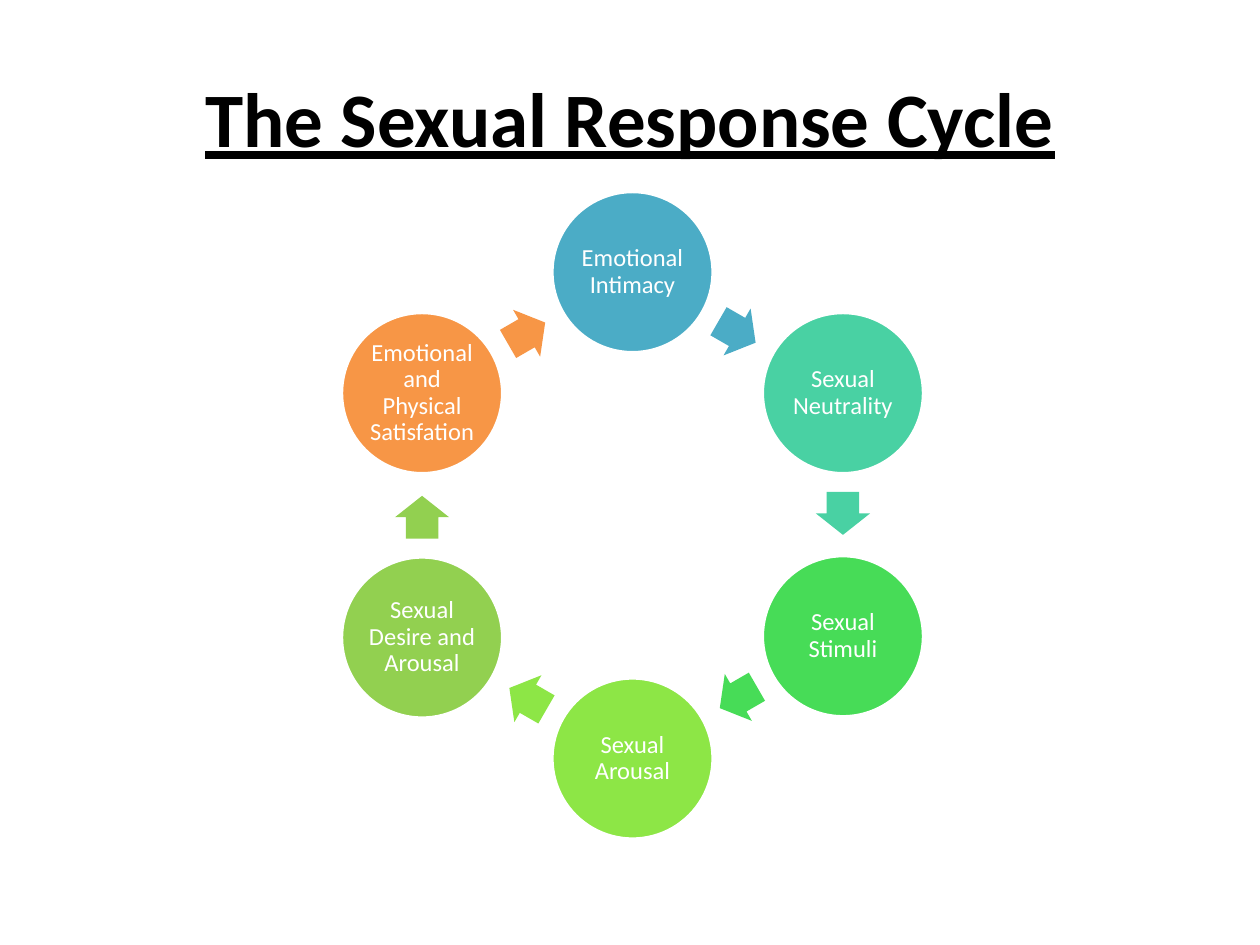
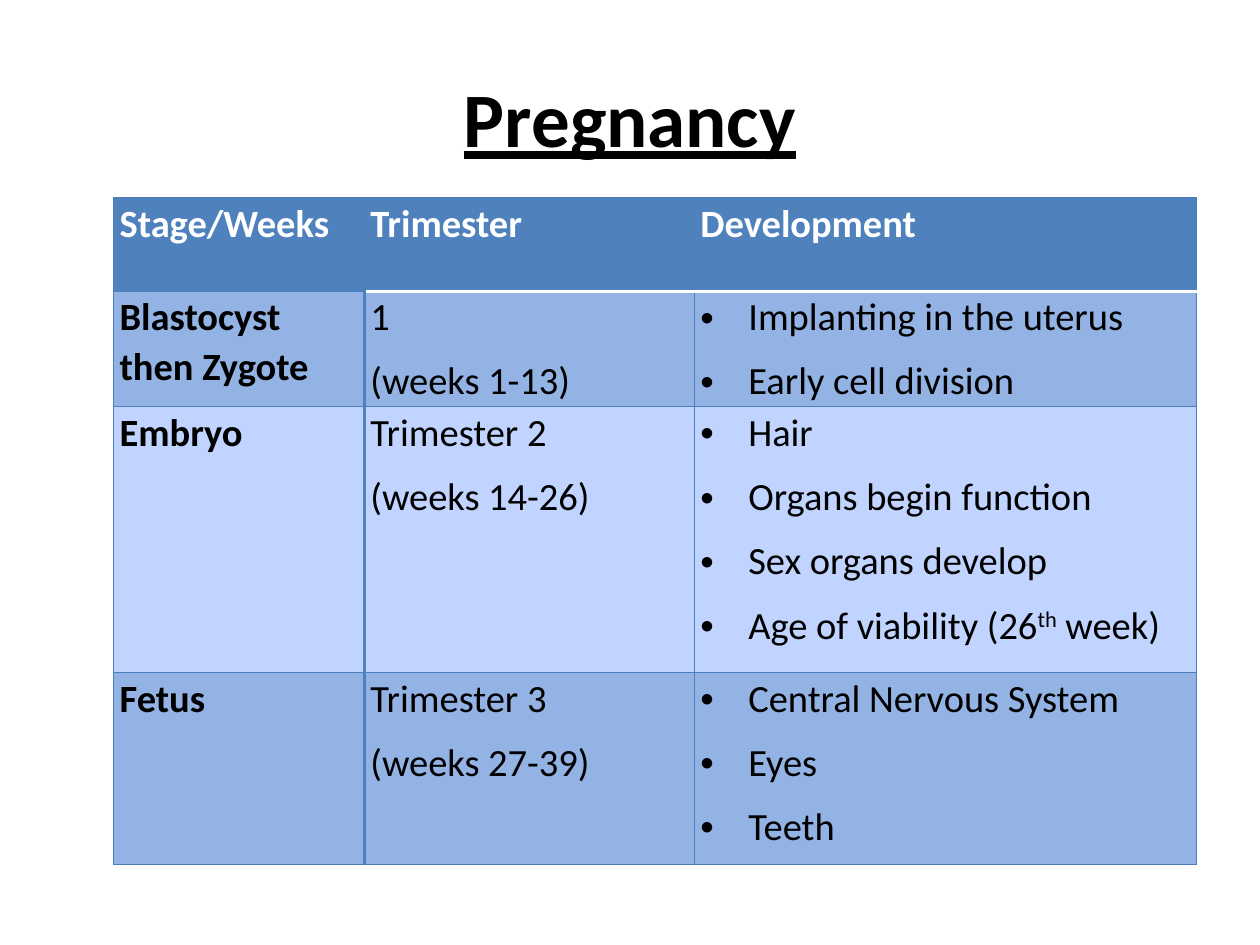
import math
import pptx
import pptx.util
import pptx.dml.color
import pptx.enum.shapes
import pptx.enum.text
import pptx.oxml.ns
import lxml.etree

px = 9144
Pt = pptx.util.Pt
qn = pptx.oxml.ns.qn
mid = pptx.enum.text.MSO_ANCHOR.MIDDLE
mso = pptx.enum.shapes.MSO_SHAPE
face = "Calibri"


def tint(code):
    return pptx.dml.color.RGBColor.from_string(code)


def edge(cell, side, code, width):
    props = cell._tc.get_or_add_tcPr()
    line = lxml.etree.SubElement(props, qn("a:ln" + side), w=str(Pt(width)))
    fill = lxml.etree.SubElement(line, qn("a:solidFill"))
    lxml.etree.SubElement(fill, qn("a:srgbClr"), val=code)


deck = pptx.Presentation()
deck.slide_width, deck.slide_height = 1000 * px, 750 * px

slides = []
for name in ["The Sexual Response Cycle", "Pregnancy"]:
    slide = deck.slides.add_slide(deck.slide_layouts[5])
    title = slide.shapes.title
    title.left, title.top, title.width, title.height = 50 * px, 30 * px, 900 * px, 125 * px
    title.text_frame.text = name
    title.text_frame.vertical_anchor = mid
    para = title.text_frame.paragraphs[0]
    para.alignment = pptx.enum.text.PP_ALIGN.CENTER
    font = para.font
    font.name, font.size, font.bold, font.underline = face, Pt(44), True, True
    font.color.rgb = tint("000000")
    slides.append(slide)
cycle, birth = slides

steps = [
    ("Emotional Intimacy", "4BACC6"),
    ("Sexual Neutrality", "49D1A3"),
    ("Sexual Stimuli", "47DC57"),
    ("Sexual Arousal", "8DE646"),
    ("Sexual Desire and Arousal", "92D050"),
    ("Emotional and Physical Satisfation", "F79646"),
]
hub_x, hub_y, ring, disc = 502, 409, 193, 128
wide, tall = 34, 43
gap = 360 / len(steps)
for i, (label, code) in enumerate(steps):
    turn = math.radians(i * gap)
    x = round(hub_x + ring * math.sin(turn) - disc / 2)
    y = round(hub_y - ring * math.cos(turn) - disc / 2)
    node = cycle.shapes.add_shape(mso.OVAL, x * px, y * px, disc * px, disc * px)
    node.shadow.inherit = False
    node.fill.solid()
    node.fill.fore_color.rgb = tint(code)
    node.line.color.rgb = tint("FFFFFF")
    node.line.width = Pt(2)
    frame = node.text_frame
    frame.word_wrap = True
    frame.vertical_anchor = mid
    frame.margin_left = frame.margin_right = frame.margin_top = frame.margin_bottom = 2 * px
    frame.text = label
    para = frame.paragraphs[0]
    para.alignment = pptx.enum.text.PP_ALIGN.CENTER
    para.line_spacing = 0.9
    para.font.name, para.font.size = face, Pt(14)
    para.font.color.rgb = tint("FFFFFF")

    angle = (i + 0.5) * gap
    turn = math.radians(angle)
    reach = ring * math.cos(math.radians(gap / 2))
    x = round(hub_x + reach * math.sin(turn) - math.cos(turn) - wide / 2)
    y = round(hub_y - reach * math.cos(turn) - math.sin(turn) - tall / 2)
    arrow = cycle.shapes.add_shape(mso.RIGHT_ARROW, x * px, y * px, wide * px, tall * px)
    arrow.adjustments[0], arrow.adjustments[1] = 0.6, 0.5
    arrow.rotation = angle
    arrow.shadow.inherit = False
    arrow.fill.solid()
    arrow.fill.fore_color.rgb = tint(code)
    arrow.line.fill.background()

rows = [
    (["Stage/Weeks"], ["Trimester"], ["Development"]),
    (["Blastocyst then Zygote"], ["1", "(weeks 1-13)"],
     ["Implanting in the uterus", "Early cell division"]),
    (["Embryo"], ["Trimester 2", "(weeks 14-26)"],
     ["Hair", "Organs begin function", "Sex organs develop", "Age of viability (26^th^ week)"]),
    (["Fetus"], ["Trimester 3", "(weeks 27-39)"],
     ["Central Nervous System", "Eyes", "Teeth"]),
]
fills = ["4F81BD", "93B3E4", "C0D4FF", "93B3E4"]
cols, highs = [199, 262, 399], [74, 92, 211, 152]
table = birth.shapes.add_table(
    len(rows), len(cols), 90 * px, 157 * px, sum(cols) * px, sum(highs) * px).table
table.horz_banding = False
for c, width in enumerate(cols):
    table.columns[c].width = width * px
for r, row in enumerate(rows):
    table.rows[r].height = highs[r] * px
    for c, lines in enumerate(row):
        cell = table.cell(r, c)
        thin, thick, white = ("4B7EBC", 0.75), ("4F81BD", 2), ("FFFFFF", 2)
        edge(cell, "L", *(thick if r and c == 1 else thin))
        edge(cell, "R", *(thick if r and c == 0 else thin))
        edge(cell, "T", *(white if r == 1 and c else thin))
        edge(cell, "B", *(white if r == 0 and c else thin))
        cell.fill.solid()
        cell.fill.fore_color.rgb = tint(fills[r])
        cell.margin_left = cell.margin_right = 5 * px
        cell.margin_top = cell.margin_bottom = 0
        frame = cell.text_frame
        for n, line in enumerate(lines):
            para = frame.add_paragraph() if n else frame.paragraphs[0]
            for k, part in enumerate(line.split("^")):
                run = para.add_run()
                run.text = part
                if k == 1:
                    run._r.get_or_add_rPr().set("baseline", "30000")
            para.line_spacing = 1.07
            para.space_after = Pt(8)
            if r and c == 2:
                props = para._p.get_or_add_pPr()
                props.set("marL", str(38 * px))
                props.set("indent", str(-38 * px))
                lxml.etree.SubElement(props, qn("a:buFont"), typeface="Arial")
                lxml.etree.SubElement(props, qn("a:buChar"), char="•")
            para.font.name, para.font.size = face, Pt(22)
            para.font.bold = r == 0 or c == 0
            para.font.color.rgb = tint("000000" if r else "FFFFFF")

deck.save("out.pptx")
